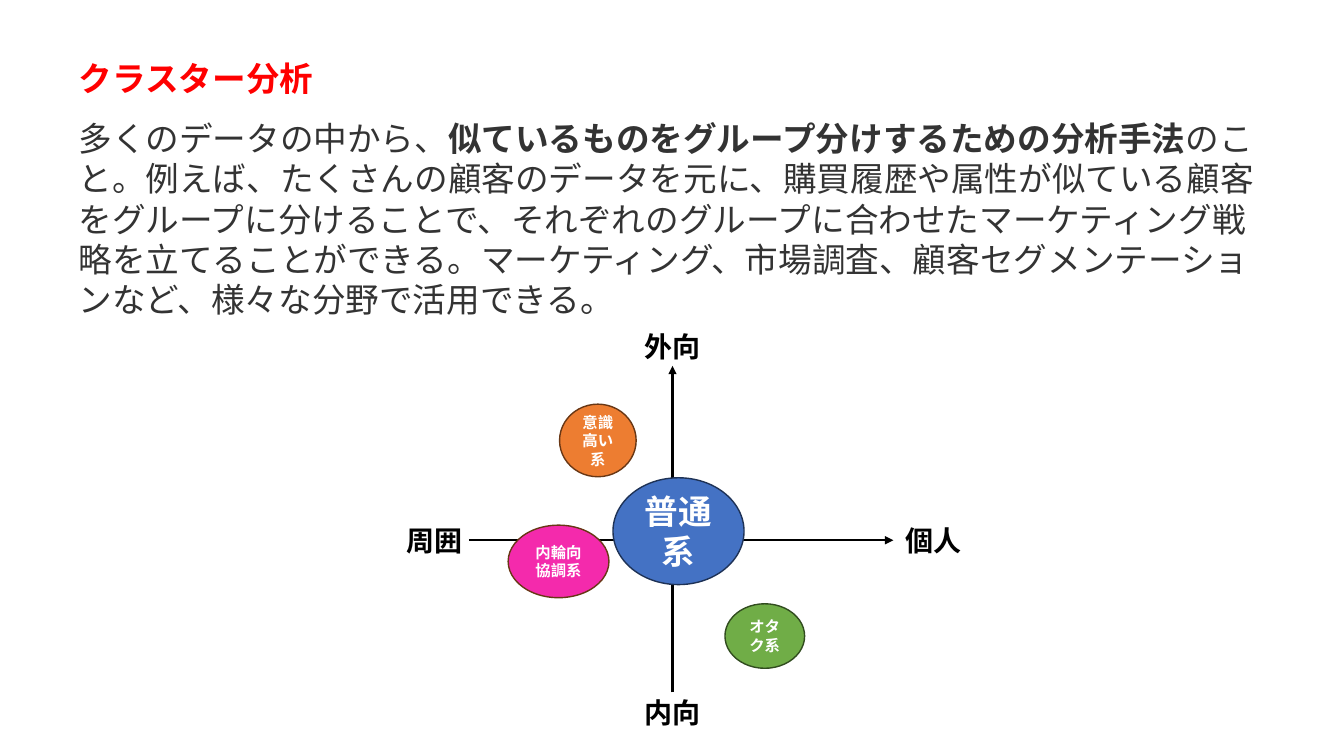
"""Build a slide explaining cluster analysis with a two-axis personality map."""
from dataclasses import dataclass

from lxml import etree
from pptx import Presentation
from pptx.dml.color import RGBColor
from pptx.enum import shapes, text
from pptx.oxml import ns
from pptx.util import Inches, Pt


@dataclass(frozen=True)
class Theme:
    font: str = "Noto Sans CJK JP"
    title: str = "FF0000"
    body: str = "333333"
    axis: str = "000000"
    on_fill: str = "FFFFFF"
    large: int = 24
    label: int = 20
    small: int = 11
    axis_width: float = 1.5
    outline_width: float = 1


@dataclass(frozen=True)
class Box:
    left: float
    top: float
    width: float
    height: float

    def emu(self) -> tuple:
        return tuple(Inches(v) for v in (self.left, self.top, self.width, self.height))


@dataclass(frozen=True)
class Axis:
    start: tuple
    end: tuple


@dataclass(frozen=True)
class Label:
    caption: str
    left: float
    top: float


@dataclass(frozen=True)
class Cluster:
    name: str
    box: Box
    fill: str
    outline: str
    size: int


THEME = Theme()
TITLE_BOX = Box(0.68, 0.52, 11.97, 0.5)
BODY_BOX = Box(0.68, 1.12, 11.97, 2.13)
LABEL_WIDTH, LABEL_HEIGHT = 1.46, 0.44

BODY = (
    ("多くのデータの中から、", False),
    ("似ているものをグループ分けするための分析手法", True),
    ("のこと。例えば、たくさんの顧客のデータを元に、購買履歴や属性が似ている顧客をグループに分けることで、"
     "それぞれのグループに合わせたマーケティング戦略を立てることができる。"
     "マーケティング、市場調査、顧客セグメンテーションなど、様々な分野で活用できる。", False),
)
AXES = (
    Axis((4.65, 5.36), (8.86, 5.36)),
    Axis((6.67, 6.87), (6.67, 3.63)),
)
LABELS = (
    Label("外向", 5.94, 3.22),
    Label("内向", 5.94, 6.85),
    Label("周囲", 3.58, 5.14),
    Label("個人", 8.53, 5.14),
)
CLUSTERS = (
    Cluster("意識高い系", Box(5.55, 4.01, 0.76, 0.72), "ED7D31", "683715", THEME.small),
    Cluster("オタク系", Box(7.19, 5.99, 0.79, 0.64), "70AD47", "314C1F", THEME.small),
    Cluster("普通系", Box(6.08, 4.74, 1.3, 1.06), "4472C4", "1E3256", THEME.large),
    Cluster("内輪向協調系", Box(5.04, 5.21, 1, 0.72), "F42AAC", "683715", THEME.small),
)


def rgb(value: str) -> RGBColor:
    return RGBColor.from_string(value)


def format_run(r, size: int, color: str, bold: bool = True) -> None:
    r.font.size = Pt(size)
    r.font.bold = bold
    r.font.color.rgb = rgb(color)
    r.font.name = THEME.font
    etree.SubElement(r.font._element, ns.qn("a:ea"), typeface=THEME.font)


def write(sp, caption: str, size: int, color: str,
          align=text.PP_ALIGN.CENTER, anchor=text.MSO_ANCHOR.TOP) -> None:
    tf = sp.text_frame
    tf.text = caption
    tf.word_wrap = True
    tf.auto_size = text.MSO_AUTO_SIZE.NONE
    tf.vertical_anchor = anchor
    p = tf.paragraphs[0]
    p.alignment = align
    format_run(p.runs[0], size, color)


def add_title(s) -> None:
    sp = s.shapes.title
    sp.left, sp.top, sp.width, sp.height = TITLE_BOX.emu()
    write(sp, "クラスター分析", THEME.large, THEME.title, text.PP_ALIGN.LEFT)


def add_body(s) -> None:
    tf = s.shapes.add_textbox(*BODY_BOX.emu()).text_frame
    tf.word_wrap = True
    p = tf.paragraphs[0]
    for part, bold in BODY:
        r = p.add_run()
        r.text = part
        format_run(r, THEME.large, THEME.body, bold)


def add_axis(s, axis: Axis) -> None:
    ends = [Inches(v) for v in axis.start + axis.end]
    cx = s.shapes.add_connector(shapes.MSO_CONNECTOR.STRAIGHT, *ends)
    cx.line.color.rgb = rgb(THEME.axis)
    cx.line.width = Pt(THEME.axis_width)
    etree.SubElement(cx.line._get_or_add_ln(), ns.qn("a:tailEnd"), type="triangle")
    etree.SubElement(cx._element.spPr, ns.qn("a:effectLst"))


def add_label(s, label: Label) -> None:
    box = Box(label.left, label.top, LABEL_WIDTH, LABEL_HEIGHT)
    write(s.shapes.add_textbox(*box.emu()), label.caption, THEME.label, THEME.axis)


def add_cluster(s, cluster: Cluster) -> None:
    sp = s.shapes.add_shape(shapes.MSO_SHAPE.OVAL, *cluster.box.emu())
    sp.shadow.inherit = False
    sp.fill.solid()
    sp.fill.fore_color.rgb = rgb(cluster.fill)
    sp.line.color.rgb = rgb(cluster.outline)
    sp.line.width = Pt(THEME.outline_width)
    write(sp, cluster.name, cluster.size, THEME.on_fill, anchor=text.MSO_ANCHOR.MIDDLE)


def main() -> None:
    prs = Presentation()
    prs.slide_width, prs.slide_height = Inches(13.33), Inches(7.5)
    s = prs.slides.add_slide(prs.slide_layouts.get_by_name("Title Only"))
    add_title(s)
    add_body(s)
    for axis in AXES:
        add_axis(s, axis)
    for label in LABELS:
        add_label(s, label)
    for cluster in CLUSTERS:
        add_cluster(s, cluster)
    prs.save("out.pptx")


if __name__ == "__main__":
    main()
